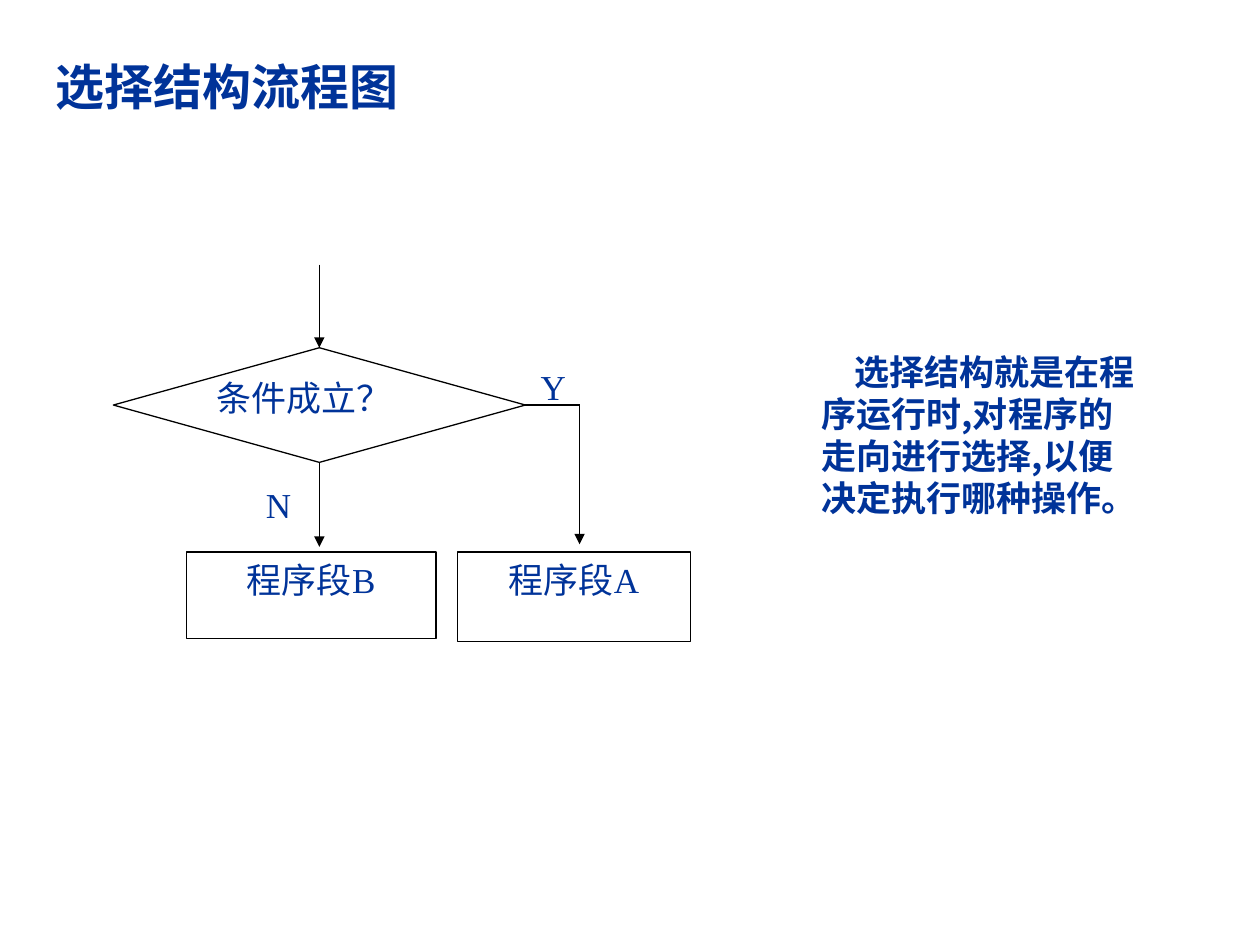
from lxml import etree
from pptx import Presentation
from pptx import util as u
from pptx.dml.color import RGBColor
from pptx.enum import shapes, text
from pptx.oxml.ns import qn

BLUE, BLACK, WHITE = "003399", "000000", "FFFFFF"
SANS, SERIF = "Noto Sans CJK SC", "Times New Roman"
PAD = (0.1, 0.05)


def color(code):
    return RGBColor.from_string(code)


def write(shape, words, face=SERIF, size=20, bold=False,
          align=text.PP_ALIGN.LEFT, pad=(0, 0), wrap=True):
    """Put one paragraph of top-anchored text into a shape."""
    frame = shape.text_frame
    frame.word_wrap = wrap
    frame.vertical_anchor = text.MSO_ANCHOR.TOP
    frame.margin_left = frame.margin_right = u.Inches(pad[0])
    frame.margin_top = frame.margin_bottom = u.Inches(pad[1])
    para = frame.paragraphs[0]
    para.text = words
    para.alignment = align
    font = para.font
    font.name, font.size, font.bold = face, u.Pt(size), bold
    font.color.rgb = color(BLUE)
    # East Asian glyphs use the sans face throughout
    props = para._p.pPr.find(qn("a:defRPr"))
    etree.SubElement(props, qn("a:ea")).set("typeface", SANS)
    return para


def node(slide, kind, box, line=True):
    """Add a white flowchart shape, outlined unless it is a label."""
    shape = slide.shapes.add_shape(kind, *map(u.Inches, box))
    shape.shadow.inherit = False
    shape.fill.solid()
    shape.fill.fore_color.rgb = color(WHITE)
    if line:
        shape.line.color.rgb = color(BLACK)
        shape.line.width = u.Pt(0.75)
    else:
        shape.line.fill.background()
    return shape


def link(slide, start, end, head=True):
    """Add a thin black line, with an arrowhead at its end if wanted."""
    line = slide.shapes.add_connector(
        shapes.MSO_CONNECTOR.STRAIGHT, *map(u.Inches, start + end))
    line.line.color.rgb = color(BLACK)
    line.line.width = u.Pt(0.75)
    if head:
        tip = etree.SubElement(line.line._get_or_add_ln(), qn("a:tailEnd"))
        tip.set("type", "triangle")
    etree.SubElement(line._element.spPr, qn("a:effectLst"))
    return line


def main():
    deck = Presentation()
    deck.slide_width, deck.slide_height = u.Inches(10), u.Inches(7.5)
    slide = deck.slides.add_slide(deck.slide_layouts[5])
    rect = shapes.MSO_SHAPE.RECTANGLE

    # Title
    title = slide.shapes.title
    title.left, title.top, title.width, title.height = map(
        u.Inches, (0.34, 0.4, 2.92, 0.57))
    write(title, "选择结构流程图", SANS, 28, True, pad=PAD, wrap=False)

    # Branch labels
    for words, box in (("N", (2.11, 3.84, 0.3, 0.47)),
                       ("Y", (4.29, 2.9, 0.37, 0.46))):
        write(node(slide, rect, box, line=False), words)

    # Decision
    left, top, wide, high = 0.9, 2.76, 3.27, 0.91
    test = node(slide, shapes.MSO_SHAPE.FLOWCHART_DECISION,
                (left, top, wide, high))
    write(test, "条件成立？")
    mid, turn, level = left + wide / 2, 4.6, top + high / 2

    # Program blocks
    for words, box in (("程序段A", (3.63, 4.38, 1.85, 0.71)),
                       ("程序段B", (1.48, 4.38, 1.98, 0.69))):
        write(node(slide, rect, box), words,
              align=text.PP_ALIGN.CENTER, pad=PAD)

    # Flow lines
    link(slide, (mid, 2.1), (mid, top)).end_connect(test, 0)
    link(slide, (mid, top + high), (mid, 4.34)).begin_connect(test, 2)
    link(slide, (left + wide, level), (turn, level),
         head=False).begin_connect(test, 3)
    link(slide, (turn, level), (turn, 4.32))

    # Explanation
    note = slide.shapes.add_textbox(
        *map(u.Inches, (6.42, 2.73, 2.76, 1.77)))
    para = write(note, "选择结构就是在程序运行时,对程序的走向进行选择,"
                 "以便决定执行哪种操作。", SANS, bold=True, pad=PAD)
    para._p.pPr.set("indent", str(u.Inches(0.26)))

    deck.save("out.pptx")


if __name__ == "__main__":
    main()
